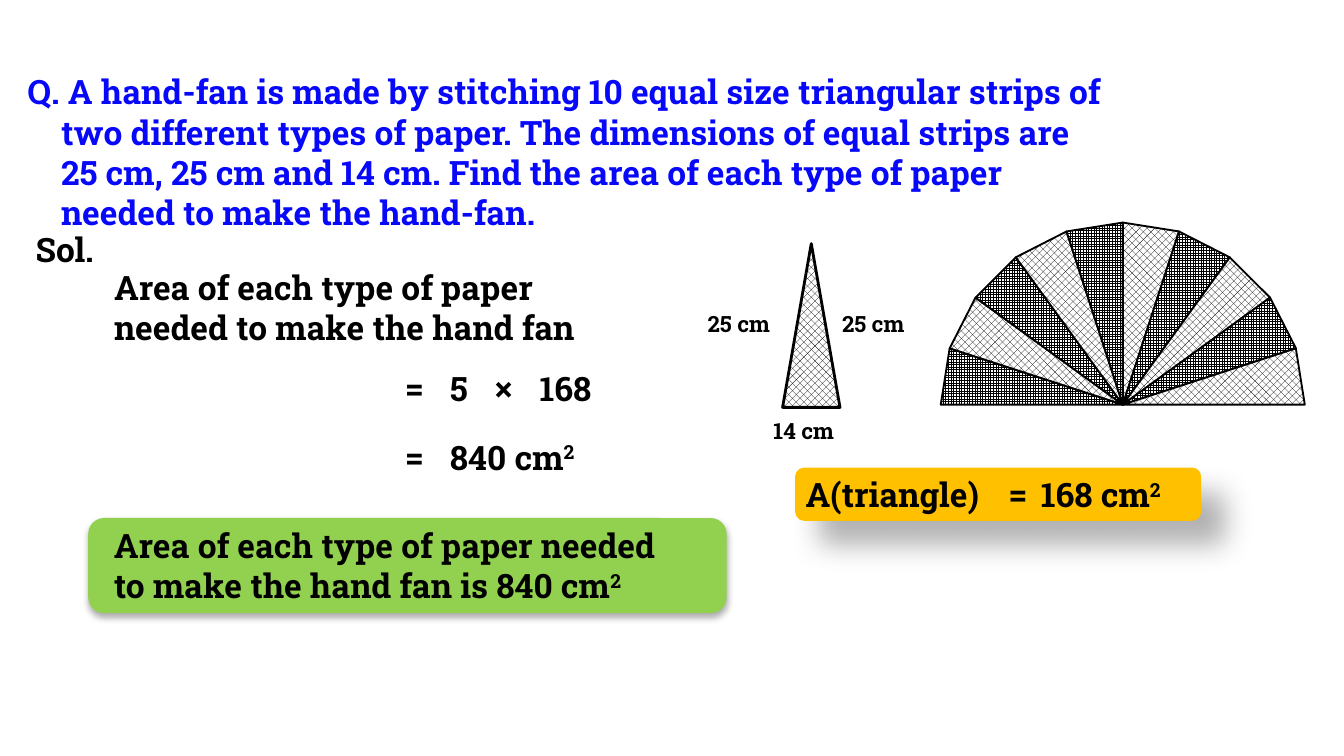
from math import cos, radians, sin

from lxml.etree import SubElement
from pptx import Presentation
from pptx.dml.color import RGBColor
from pptx.enum.dml import MSO_PATTERN
from pptx.enum.shapes import MSO_CONNECTOR, MSO_SHAPE
from pptx.enum.text import MSO_ANCHOR, MSO_AUTO_SIZE, PP_ALIGN
from pptx.oxml.ns import qn
from pptx.util import Emu, Pt

BLACK = RGBColor.from_string("000000")
WHITE = RGBColor.from_string("FFFFFF")


def px(*lengths):
    return [Emu(round(length * 9525)) for length in lengths]


def write(frame, lines, size, color):
    frame.word_wrap = True
    frame.auto_size = MSO_AUTO_SIZE.SHAPE_TO_FIT_TEXT
    frame.vertical_anchor = MSO_ANCHOR.TOP
    for index, line in enumerate(lines):
        para = frame.paragraphs[0] if index == 0 else frame.add_paragraph()
        para.alignment = PP_ALIGN.LEFT
        para.font.name = "Roboto Slab"
        para.font.size = Pt(size)
        para.font.bold = True
        para.font.color.rgb = RGBColor.from_string(color)
        base, _, power = line.partition("^")
        para.add_run().text = base
        if power:
            span = para.add_run()
            span.text = power
            span.font._element.set("baseline", "30000")


deck = Presentation()
deck.slide_width, deck.slide_height = px(960, 540)
slide = deck.slides.add_slide(deck.slide_layouts[5])
shapes = slide.shapes

question = shapes.title
question.left, question.top, question.width, question.height = px(10, 46, 998, 126)
write(question.text_frame, [
    "Q. A hand-fan is made by stitching 10 equal size triangular strips of",
    "two different types of paper. The dimensions of equal strips are",
    "25 cm, 25 cm and 14 cm. Find the area of each type of paper",
    "needed to make the hand-fan.",
], 18, "0707F9")
for para in question.text_frame.paragraphs[1:]:
    properties = para._p.get_or_add_pPr()
    properties.set("marL", str(px(24)[0]))
    properties.set("indent", "0")

panels = [
    ((568, 334, 290, 38), "FFC000", 30, 15, 18, 45),
    ((63, 370, 456, 68), "92D050", 32, 3.5, 2.2, 90),
]
for place, color, opacity, blur, distance, angle in panels:
    panel = shapes.add_shape(MSO_SHAPE.ROUNDED_RECTANGLE, *px(*place))
    panel.fill.solid()
    panel.fill.fore_color.rgb = RGBColor.from_string(color)
    panel.line.fill.background()
    panel.shadow.inherit = False
    effects = panel._element.spPr.find(qn("a:effectLst"))
    shadow = SubElement(
        effects, qn("a:outerShdw"), blurRad=str(Pt(blur)), dist=str(Pt(distance)),
        dir=str(angle * 60000), algn="tl", rotWithShape="0")
    tint = SubElement(shadow, qn("a:srgbClr"), val="000000")
    SubElement(tint, qn("a:alpha"), val=str(opacity * 1000))

center_x, center_y, radius = 802, 289, 130
rim = [
    px(center_x - radius * cos(radians(angle)), center_y - radius * sin(radians(angle)))
    for angle in range(0, 181, 18)
]
papers = []
for index, (start, end) in enumerate(zip(rim, rim[1:])):
    builder = shapes.build_freeform(*start, scale=1)
    builder.add_line_segments([px(center_x, center_y), end], close=True)
    pattern = MSO_PATTERN.SOLID_DIAMOND if index % 2 else MSO_PATTERN.SMALL_GRID
    papers.append((builder.convert_to_shape(), pattern, 1))

triangle = shapes.add_shape(MSO_SHAPE.ISOSCELES_TRIANGLE, *px(559, 174, 41, 117))
papers.append((triangle, MSO_PATTERN.SOLID_DIAMOND, 1.5))
for paper, pattern, weight in papers:
    paper.shadow.inherit = False
    paper.fill.patterned()
    paper.fill.pattern = pattern
    paper.fill.fore_color.rgb = BLACK
    paper.fill.back_color.rgb = WHITE
    paper.line.color.rgb = BLACK
    paper.line.width = Pt(weight)

fold = shapes.add_connector(
    MSO_CONNECTOR.STRAIGHT, *px(center_x, center_y - radius, center_x, center_y))
fold.line.color.rgb = BLACK
fold.line.width = Pt(1)
SubElement(fold._element.spPr, qn("a:effectLst"))

labels = [
    (16, 159, 72, 38, 18, ["Sol."]),
    (72, 186, 391, 68, 18, ["Area of each type of paper needed to make the hand fan"]),
    (280, 258, 40, 38, 18, ["="]),
    (312, 258, 40, 38, 18, ["5"]),
    (344, 258, 40, 38, 18, ["×"]),
    (376, 258, 80, 38, 18, ["168"]),
    (280, 307, 40, 38, 18, ["="]),
    (312, 307, 136, 38, 18, ["840 cm^2"]),
    (72, 370, 720, 68, 18,
     ["Area of each type of paper needed", "to make the hand fan is 840 cm^2"]),
    (592, 217, 72, 29, 12, ["25 cm"]),
    (496, 217, 72, 29, 12, ["25 cm"]),
    (543, 293, 72, 29, 12, ["14 cm"]),
    (566, 334, 217, 38, 18, ["A(triangle)"]),
    (711, 334, 57, 38, 18, ["="]),
    (734, 334, 193, 38, 18, ["168 cm^2"]),
]
for left, top, width, height, size, lines in labels:
    box = shapes.add_textbox(*px(left, top, width, height))
    write(box.text_frame, lines, size, "000000")

deck.save("out.pptx")
